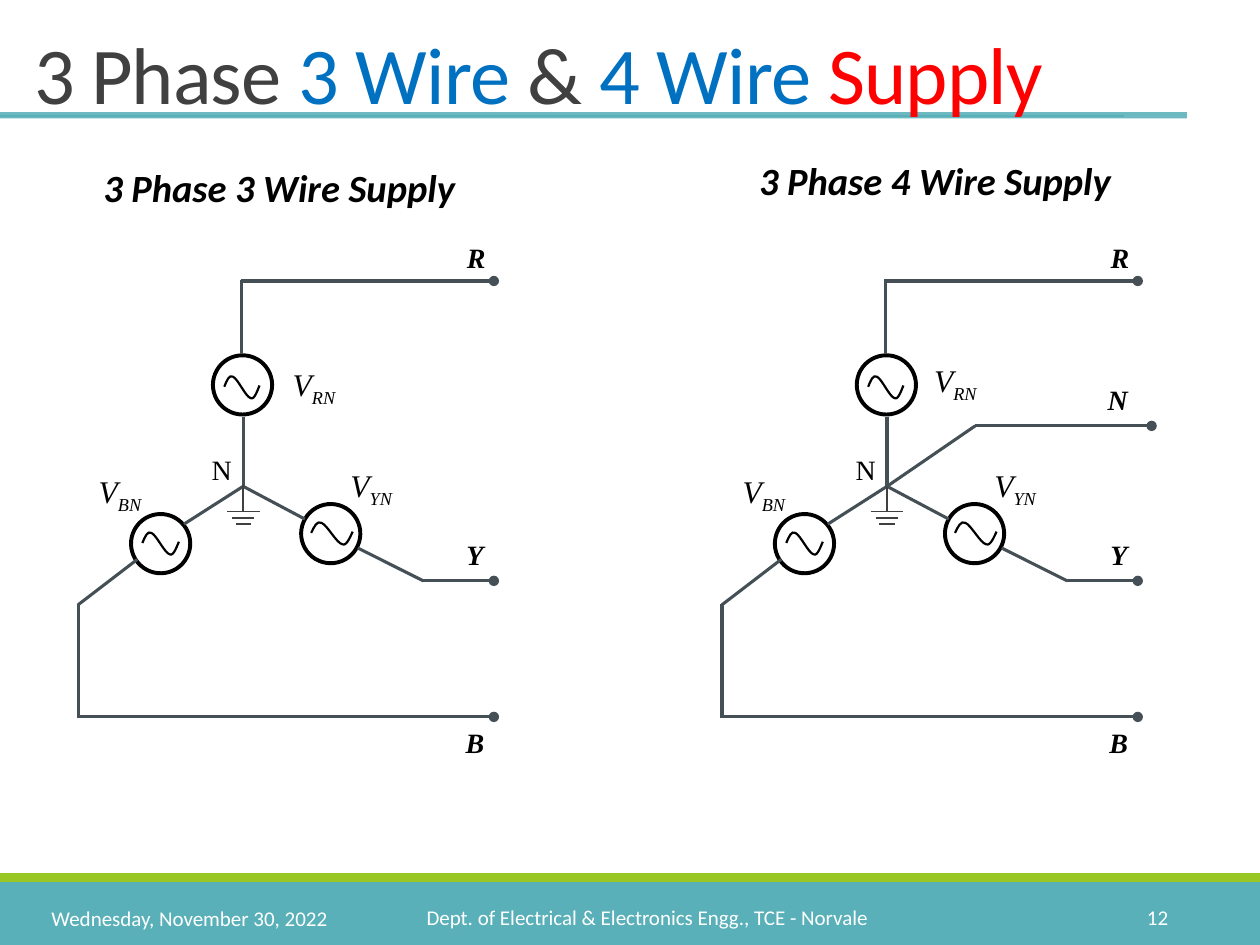
from dataclasses import dataclass

from pptx import Presentation
from pptx.dml.color import RGBColor
from pptx.enum.shapes import MSO_CONNECTOR, MSO_SHAPE
from pptx.enum.text import MSO_ANCHOR, MSO_AUTO_SIZE, PP_ALIGN
from pptx.oxml.ns import qn
from pptx.util import Inches, Pt
from lxml.etree import SubElement


@dataclass(frozen=True)
class Theme:
    sans: str = "Calibri"
    serif: str = "Times New Roman"
    teal: str = "59B0B9"
    green: str = "98C723"
    white: str = "FFFFFF"
    black: str = "000000"
    gray: str = "404040"
    wire: str = "444F56"
    blue: str = "0070C0"
    red: str = "FF0000"
    title: int = 46
    heading: int = 22
    symbol: int = 18
    terminal: int = 16
    footer: int = 12


WAVE_WIDTH = 0.28
WAVE = [(0, 0.08), (0.02, 0.03), (0.04, -0.02), (0.07, 0), (0.11, 0.02),
        (0.17, 0.16), (0.21, 0.17), (0.24, 0.19), (0.27, 0.09), (0.28, 0.07)]


class Deck:
    def __init__(self, theme):
        self.theme = theme
        self.prs = Presentation()
        self.prs.slide_width, self.prs.slide_height = Inches(10), Inches(7.5)
        self.s = self.prs.slides.add_slide(self.prs.slide_layouts[5])
        self.shapes = self.s.shapes
        self.dx = 0

    def start_group(self, dx):
        self.shapes = self.s.shapes.add_group_shape().shapes
        self.dx = dx

    def box(self, x, y, w, h):
        return Inches(x + self.dx), Inches(y), Inches(w), Inches(h)

    def title(self, x, y, w, h, runs):
        sp = self.s.shapes.title
        sp.element.getparent().append(sp.element)
        sp.left, sp.top, sp.width, sp.height = self.box(x, y, w, h)
        tf = sp.text_frame
        tf.auto_size = MSO_AUTO_SIZE.NONE
        tf.vertical_anchor = MSO_ANCHOR.BOTTOM
        p = tf.paragraphs[0]
        p.alignment, p.line_spacing = PP_ALIGN.LEFT, 0.85
        p.font.name, p.font.size = self.theme.sans, Pt(self.theme.title)
        for text, color in runs:
            r = p.add_run()
            r.text = text
            r.font.color.rgb = RGBColor.from_string(color)
            r.font._element.set("spc", "-50")

    def text(self, x, y, w, h, text, size, font, color, align=PP_ALIGN.CENTER,
             bold=False, italic=False, wrap=True, sub="", anchor=MSO_ANCHOR.TOP):
        tf = self.shapes.add_textbox(*self.box(x, y, w, h)).text_frame
        tf.word_wrap, tf.vertical_anchor = wrap, anchor
        p = tf.paragraphs[0]
        p.alignment = align
        p.font.name, p.font.size = font, Pt(size)
        p.font.bold, p.font.italic = bold, italic
        p.font.color.rgb = RGBColor.from_string(color)
        p.add_run().text = text
        if sub:
            r = p.add_run()
            r.text = sub
            r.font._element.set("baseline", "-25000")

    def terminal(self, x, y, name, strong=True):
        self.text(x, y, 0.36, 0.37, name, self.theme.terminal, self.theme.serif,
                  self.theme.black, bold=strong, italic=strong, wrap=False)

    def voltage(self, x, y, sub):
        self.text(x, y, 0.57, 0.4, "V", self.theme.symbol, self.theme.serif,
                  self.theme.black, PP_ALIGN.RIGHT, italic=True, wrap=False, sub=sub)

    def heading(self, x, y, w, text):
        self.text(x, y, w, 0.47, text, self.theme.heading, self.theme.sans,
                  self.theme.black, bold=True, italic=True)

    def footer(self, x, w, h, text, align):
        self.text(x, 7.08, w, h, text, self.theme.footer, self.theme.sans,
                  self.theme.white, align, anchor=MSO_ANCHOR.MIDDLE)

    def bar(self, x, y, w, h, color, alpha=100):
        sp = self.shapes.add_shape(MSO_SHAPE.RECTANGLE, *self.box(x, y, w, h))
        sp.shadow.inherit = False
        sp.fill.solid()
        sp.fill.fore_color.rgb = RGBColor.from_string(color)
        sp.line.fill.background()
        if alpha < 100:
            clr = sp.element.spPr.find(qn("a:solidFill"))[0]
            SubElement(clr, qn("a:alpha")).set("val", str(alpha * 1000))

    def outline(self, sp, width):
        sp.shadow.inherit = False
        sp.fill.background()
        sp.line.color.rgb = RGBColor.from_string(self.theme.black)
        sp.line.width = Pt(width)

    def wave(self, x, y, w):
        points = [(Inches(px * w / WAVE_WIDTH), Inches(py)) for px, py in WAVE]
        left, top = Inches(x + self.dx), Inches(y)
        knots = [(left + px, top + py) for px, py in points[::3]]
        fb = self.shapes.build_freeform(*knots[0])
        fb.add_line_segments(knots[1:], close=False)
        sp = fb.convert_to_shape()
        self.outline(sp, 1.25)
        track = sp.element.spPr.find(".//" + qn("a:path"))
        for segment in track.findall(qn("a:lnTo")):
            track.remove(segment)
        for i in range(1, len(points), 3):
            curve = SubElement(track, qn("a:cubicBezTo"))
            for px, py in points[i:i + 3]:
                pt = SubElement(curve, qn("a:pt"))
                pt.set("x", str(px))
                pt.set("y", str(py))

    def source(self, x, y, wave_x, wave_y, wave_w, rotation=0):
        sp = self.shapes.add_shape(MSO_SHAPE.OVAL, *self.box(x, y, 0.47, 0.47))
        sp.rotation = rotation
        self.outline(sp, 2.25)
        self.wave(wave_x, wave_y, wave_w)

    def line(self, x1, y1, x2, y2, color, width, dot=False):
        c = self.shapes.add_connector(
            MSO_CONNECTOR.STRAIGHT, Inches(x1 + self.dx), Inches(y1),
            Inches(x2 + self.dx), Inches(y2))
        c.line.color.rgb = RGBColor.from_string(color)
        c.line.width = Pt(width)
        if dot:
            SubElement(c.get_or_add_ln(), qn("a:tailEnd")).set("type", "oval")
        SubElement(c.element.spPr, qn("a:effectLst"))

    def wire(self, x1, y1, x2, y2, dot=False):
        self.line(x1, y1, x2, y2, self.theme.wire, 1.75, dot)

    def ground(self, x, y):
        self.line(x, y, x, y + 0.21, self.theme.gray, 1)
        for i, half in enumerate((0.13, 0.09, 0.06)):
            level = y + 0.21 + 0.05 * i
            self.line(x - half, level, x + half, level, self.theme.gray, 1)

    def circuit(self, dx, rn_label):
        self.start_group(dx)
        for x, y, name in ((3.6, 1.86, "R"), (3.59, 5.71, "B"), (3.59, 4.22, "Y")):
            self.terminal(x, y, name)
        self.terminal(1.58, 3.54, "N", strong=False)
        self.source(1.69, 2.82, 1.78, 2.99, 0.28)
        self.source(2.39, 4, 2.47, 4.15, 0.33, 338.7)
        self.source(1.04, 4.08, 1.13, 4.23, 0.29, 5.8)
        self.voltage(*rn_label, "RN")
        self.voltage(2.64, 3.65, "YN")
        self.voltage(0.65, 3.7, "BN")
        for start, end in (((1.92, 2.22), (1.92, 2.81)), ((1.93, 3.87), (1.93, 3.31)),
                           ((1.93, 3.86), (1.46, 4.16)), ((1.93, 3.86), (2.42, 4.12)),
                           ((0.62, 4.8), (1.09, 4.44)), ((0.62, 4.79), (0.62, 5.7)),
                           ((3.36, 4.61), (2.84, 4.35))):
            self.wire(*start, *end)
        for x, y in ((1.91, 2.23), (0.61, 5.69), (3.36, 4.61)):
            self.wire(x, y, 3.92, y, dot=True)
        self.ground(1.93, 3.85)

    def neutral_wire(self):
        self.wire(1.93, 3.86, 2.63, 3.38)
        self.wire(2.63, 3.38, 4.03, 3.38, dot=True)
        self.terminal(3.58, 2.99, "N")


def main():
    t = Theme()
    d = Deck(t)
    d.bar(0, 7, 10, 0.5, t.teal)
    d.bar(0, 6.93, 10, 0.07, t.green)
    d.line(0, 0.92, 8.92, 0.92, t.teal, 0.75)
    d.bar(0, 0.89, 9.42, 0.05, t.teal, alpha=88)
    d.footer(0.31, 2.55, 0.42, "Wednesday, November 30, 2022", PP_ALIGN.LEFT)
    d.footer(2.86, 4.56, 0.4, "Dept. of Electrical & Electronics Engg., TCE - Norvale",
             PP_ALIGN.CENTER)
    d.footer(8.29, 1.08, 0.4, "12", PP_ALIGN.RIGHT)
    d.title(0.17, -0.58, 9.67, 1.59, [
        ("3 Phase ", t.gray), ("3 Wire ", t.blue), ("& ", t.gray),
        ("4 Wire ", t.blue), ("Supply", t.red)])
    d.heading(0.34, 1.25, 3.75, "3 Phase 3 Wire Supply")
    d.heading(5.9, 1.2, 3.04, "3 Phase 4 Wire Supply")
    d.circuit(0, (2.19, 2.85))
    d.circuit(5.11, (2.17, 2.82))
    d.neutral_wire()
    d.prs.save("out.pptx")


if __name__ == "__main__":
    main()
